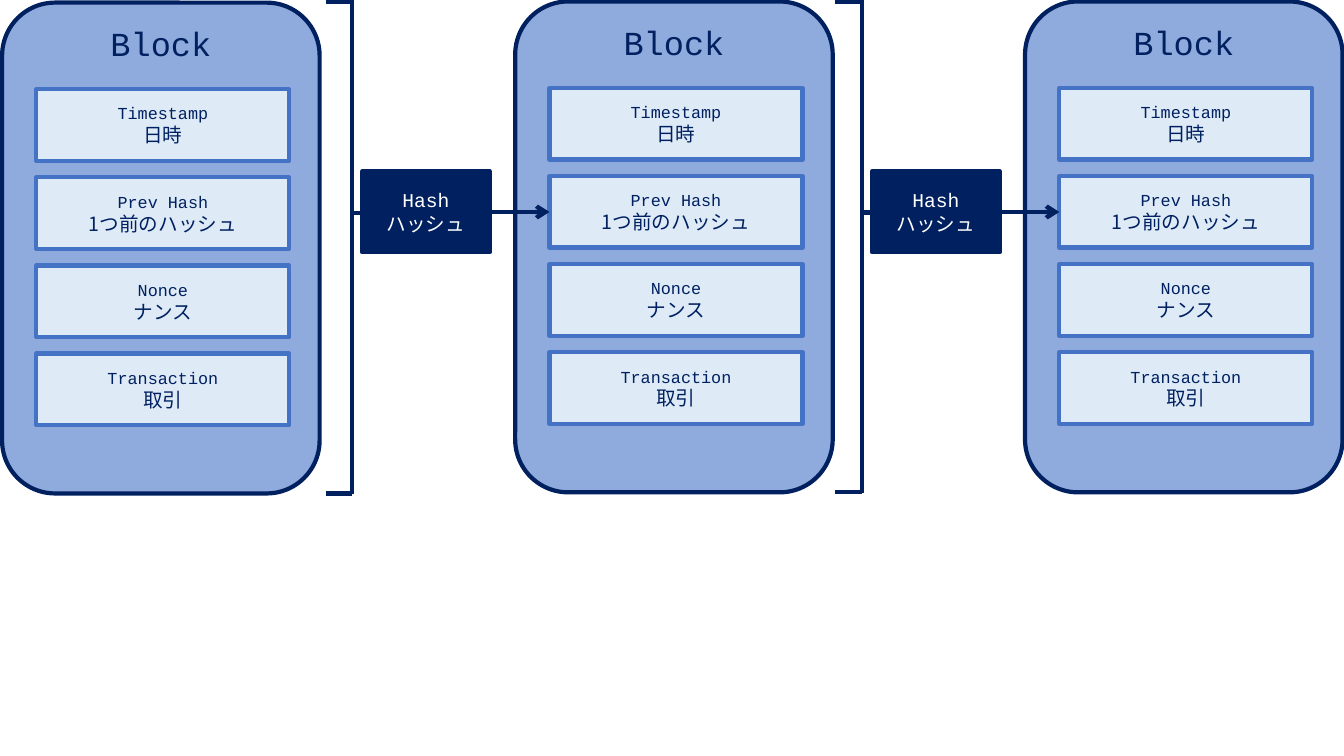
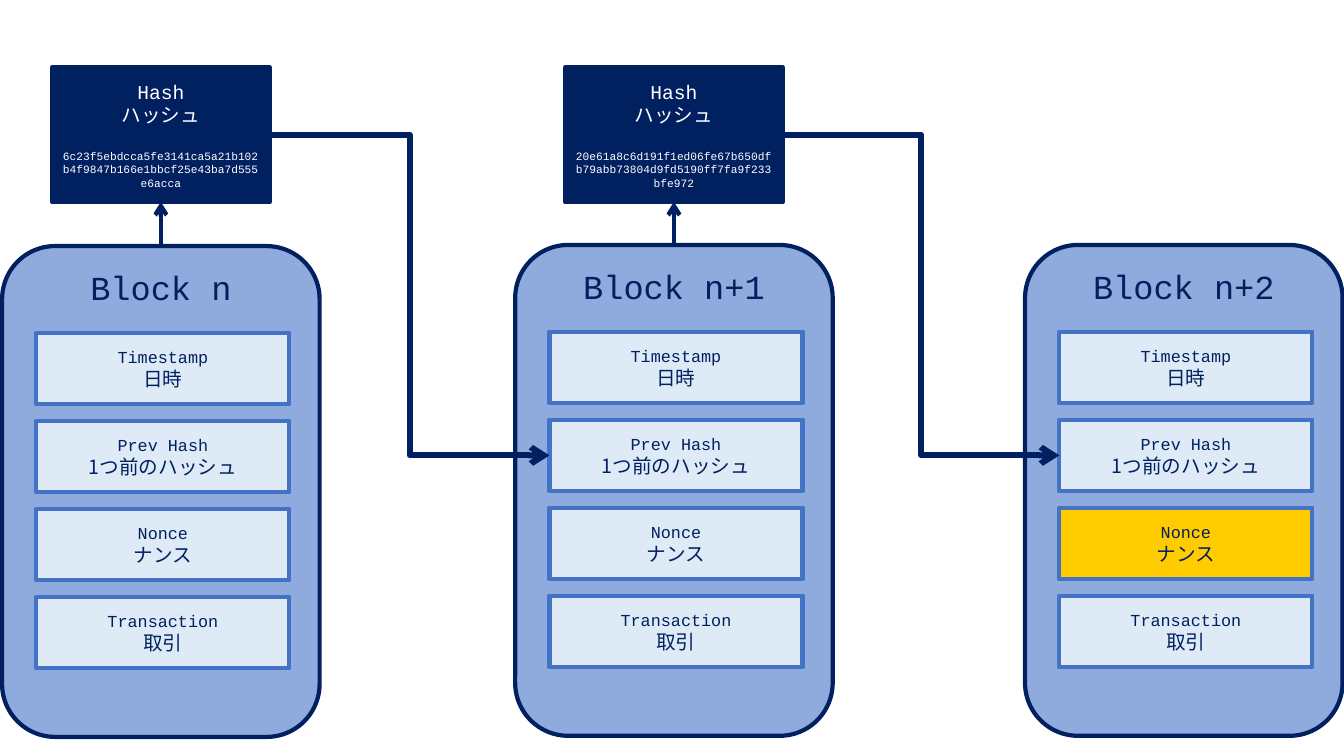
from pptx import Presentation
from pptx.dml.color import RGBColor
from pptx.enum.shapes import MSO_CONNECTOR, MSO_SHAPE
from pptx.enum.text import MSO_ANCHOR, PP_ALIGN
from pptx.oxml.ns import qn
from pptx.util import Pt
from lxml.etree import SubElement

NAVY, BLUE, MID_BLUE = "002060", "4472C4", "8FAADC"
PALE, GOLD, WHITE = "DEEBF7", "FFCC00", "FFFFFF"
CODE_FONT, JAPANESE_FONT = "Courier New", "Noto Sans CJK JP"

BLOCK_LEFTS = (1.5, 368, 732.2)
BLOCK_DROPS = (0.8, 0, 0)
BLOCK_WIDTH, BLOCK_HEIGHT = 226.8, 350.6
FIELDS = (
    ("Timestamp", "日時"),
    ("Prev Hash", "1つ前のハッシュ"),
    ("Nonce", "ナンス"),
    ("Transaction", "取引"),
)
FIELD_INSET, FIELD_DROP = 24.5, 61.9
FIELD_WIDTH, FIELD_HEIGHT, FIELD_PITCH = 180.7, 51, 62.9
PREV_HASH, NONCE = 1, 2
HASH_LABELS = (("Hash", CODE_FONT, 14), ("ハッシュ", JAPANESE_FONT, 14))
TOP, LEFT, BOTTOM, RIGHT = range(4)


def color(hex_code):
    return RGBColor.from_string(hex_code)


def add_box(slide, preset, left, top, width, height, fill, outline):
    box = slide.shapes.add_shape(preset, Pt(left), Pt(top), Pt(width), Pt(height))
    box.shadow.inherit = False
    box.fill.solid()
    box.fill.fore_color.rgb = color(fill)
    box.line.color.rgb = color(outline)
    box.line.width = Pt(3)
    return box


def write_lines(box, lines, ink, anchor=MSO_ANCHOR.MIDDLE):
    frame = box.text_frame
    frame.word_wrap = True
    frame.vertical_anchor = anchor
    frame.text = "\n".join(text for text, _, _ in lines)
    for paragraph, (_, face, size) in zip(frame.paragraphs, lines):
        paragraph.alignment = PP_ALIGN.CENTER
        font = paragraph.runs[0].font
        font.name, font.size = face, Pt(size)
        font.color.rgb = color(ink)
        SubElement(font._element, qn("a:ea")).set("typeface", face)


def add_line(slide, start, end, kind=MSO_CONNECTOR.STRAIGHT, weight=3):
    line = slide.shapes.add_connector(kind, *(Pt(value) for value in start + end))
    line.line.color.rgb = color(NAVY)
    line.line.width = Pt(weight)
    SubElement(line._element.spPr, qn("a:effectLst"))
    return line


def add_arrow(slide, source, source_site, target, target_site, **style):
    arrow = add_line(slide, (0, 0), (0, 0), **style)
    arrow.begin_connect(source, source_site)
    arrow.end_connect(target, target_site)
    SubElement(arrow.line._get_or_add_ln(), qn("a:tailEnd")).set("type", "arrow")


def add_block(slide, title, left, top, highlighted=None):
    block = add_box(slide, MSO_SHAPE.ROUNDED_RECTANGLE, left, top,
                    BLOCK_WIDTH, BLOCK_HEIGHT, MID_BLUE, NAVY)
    write_lines(block, [(title, CODE_FONT, 24)], NAVY, MSO_ANCHOR.TOP)
    fields = []
    for row, (english, japanese) in enumerate(FIELDS):
        field = add_box(slide, MSO_SHAPE.RECTANGLE, left + FIELD_INSET,
                        top + FIELD_DROP + row * FIELD_PITCH,
                        FIELD_WIDTH, FIELD_HEIGHT,
                        GOLD if row == highlighted else PALE, BLUE)
        write_lines(field, [(english, CODE_FONT, 12),
                            (japanese, JAPANESE_FONT, 14)], NAVY)
        fields.append(field)
    return block, fields


def add_blocks(slide, titles, top, highlights=(None, None, None)):
    return [add_block(slide, title, left, top + drop, highlighted)
            for title, left, drop, highlighted
            in zip(titles, BLOCK_LEFTS, BLOCK_DROPS, highlights)]


def add_hash(slide, left, top, width, height, digest=None):
    hash_box = add_box(slide, MSO_SHAPE.RECTANGLE, left, top, width, height, NAVY, NAVY)
    lines = list(HASH_LABELS)
    if digest:
        lines.append((digest, CODE_FONT, 8))
    write_lines(hash_box, lines, WHITE)
    if digest:
        hash_box.text_frame.paragraphs[-1].space_before = Pt(16)
    return hash_box


def add_bracket(slide, left, spine, stub_end, top, bottom):
    middle = (top + bottom) / 2 - 24.8
    add_line(slide, (left, top), (spine, top))
    add_line(slide, (left, bottom), (spine, bottom))
    add_line(slide, (spine, top - 1.4), (spine, bottom + 0.7))
    add_line(slide, (spine, middle), (stub_end, middle))


def build_hash_of_block(slide):
    top, hash_width, hash_height = 1.1, 91.4, 57.6
    blocks = add_blocks(slide, ["Block"] * 3, top)
    field_middle = top + FIELD_DROP + PREV_HASH * FIELD_PITCH + FIELD_HEIGHT / 2
    for drop, next_left, (_, fields) in zip(BLOCK_DROPS, BLOCK_LEFTS[1:], blocks[1:]):
        hash_left = next_left - 109.4
        add_bracket(slide, next_left - 135.4, next_left - 116.6, hash_left,
                    1.4, top + drop + BLOCK_HEIGHT)
        hash_box = add_hash(slide, hash_left, field_middle - hash_height / 2,
                            hash_width, hash_height)
        add_arrow(slide, hash_box, RIGHT, fields[PREV_HASH], LEFT)


def build_chain_of_blocks(slide):
    digests = (
        "6c23f5ebdcca5fe3141ca5a21b102b4f9847b166e1bbcf25e43ba7d555e6acca",
        "20e61a8c6d191f1ed06fe67b650dfb79abb73804d9fd5190ff7fa9f233bfe972",
    )
    hash_width, hash_height = 155.5, 96
    blocks = add_blocks(slide, ("Block n", "Block n+1", "Block n+2"), 175,
                        (None, None, NONCE))
    for index, digest in enumerate(digests):
        block, _ = blocks[index]
        _, next_fields = blocks[index + 1]
        hash_left = BLOCK_LEFTS[index] + (BLOCK_WIDTH - hash_width) / 2
        hash_box = add_hash(slide, hash_left, 48.2, hash_width, hash_height, digest)
        add_arrow(slide, hash_box, RIGHT, next_fields[PREV_HASH], LEFT,
                  kind=MSO_CONNECTOR.ELBOW, weight=4.25)
        add_arrow(slide, block, TOP, hash_box, BOTTOM)


def main():
    deck = Presentation()
    deck.slide_width, deck.slide_height = Pt(960), Pt(540)
    blank = deck.slide_layouts[6]
    for build in (build_hash_of_block, build_chain_of_blocks):
        build(deck.slides.add_slide(blank))
    deck.save("out.pptx")


if __name__ == "__main__":
    main()
